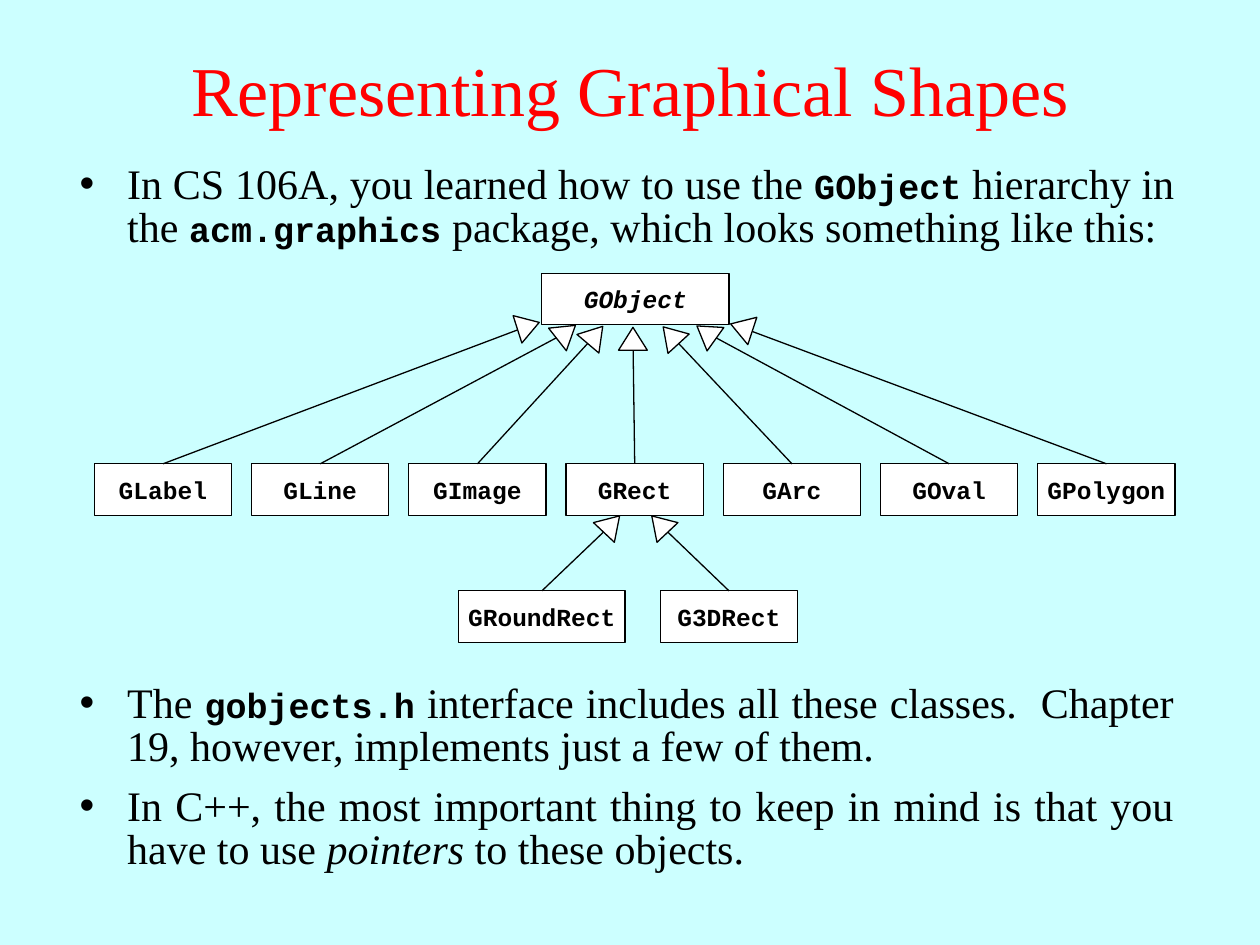
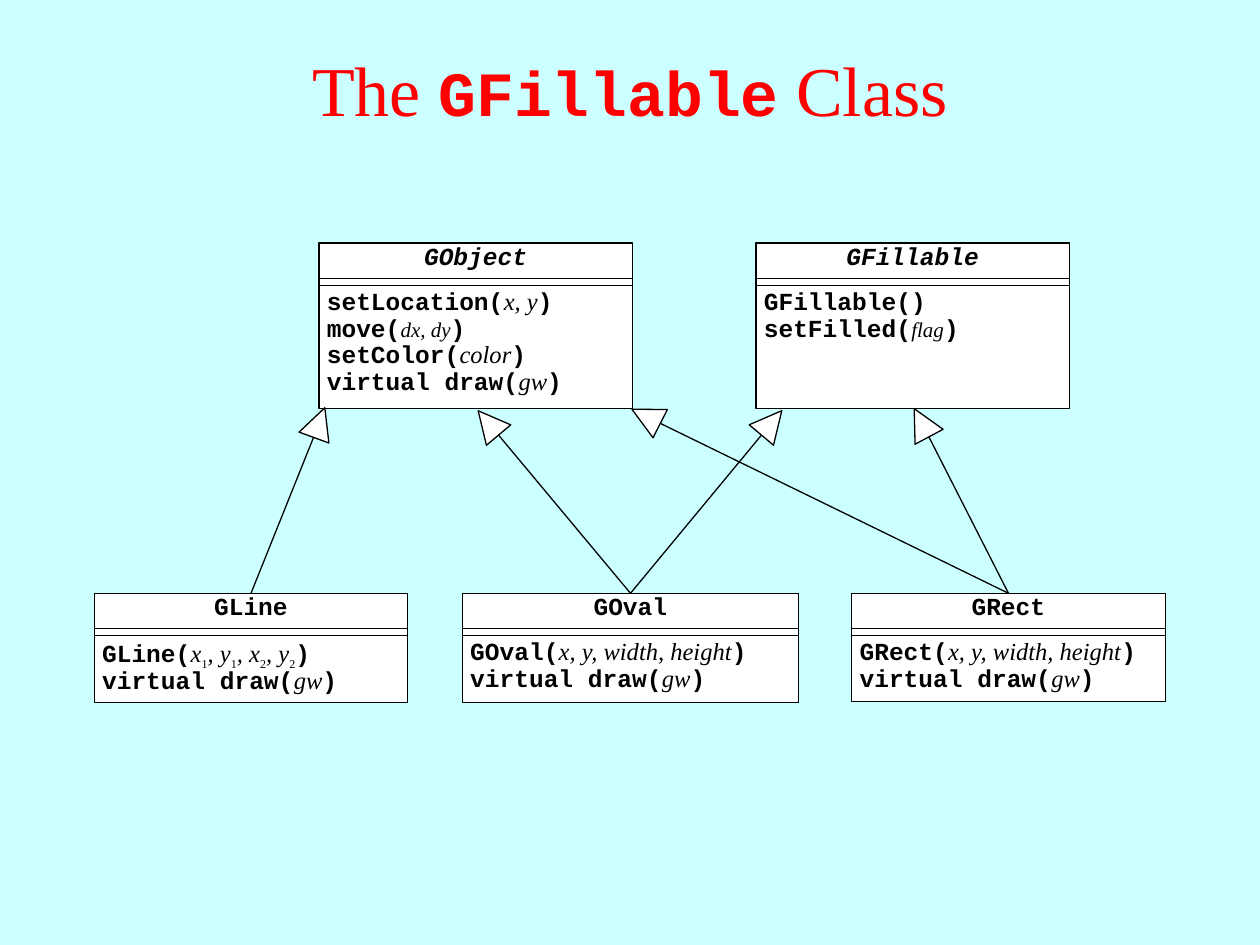
from math import cos, radians, sin
from typing import NamedTuple

from lxml.etree import SubElement
from pptx import Presentation
from pptx.dml.color import RGBColor
from pptx.enum.shapes import MSO_CONNECTOR, MSO_SHAPE
from pptx.enum.text import MSO_ANCHOR, MSO_AUTO_SIZE, PP_ALIGN
from pptx.oxml.ns import qn
from pptx.util import Cm, Pt

BACKGROUND = RGBColor(0xCC, 0xFF, 0xFF)
TITLE_RED = RGBColor(0xFF, 0x00, 0x00)
BLACK = RGBColor(0x00, 0x00, 0x00)
WHITE = RGBColor(0xFF, 0xFF, 0xFF)
SERIF, MONO = "Times New Roman", "Courier New"


class Style(NamedTuple):
    font: str
    size: int
    bold: bool = False
    italic: bool = False
    color: RGBColor = BLACK
    subscript: bool = False


TITLE = Style(SERIF, 40, color=TITLE_RED)
TITLE_CODE = Style(MONO, 36, bold=True, color=TITLE_RED)
BODY = Style(SERIF, 24)
BODY_ITALIC = Style(SERIF, 24, italic=True)
BODY_CODE = Style(MONO, 20, bold=True)
CODE = Style(MONO, 14, bold=True)
ABSTRACT = Style(MONO, 14, bold=True, italic=True)
ARGS = Style(SERIF, 14, italic=True)
SMALL_ARGS = Style(SERIF, 12, italic=True)
INDEX = Style(SERIF, 12, subscript=True)


# Text
def add_runs(paragraph, runs):
    for text, style in runs:
        run = paragraph.add_run()
        run.text = text
        font = run.font
        font.name, font.size = style.font, Pt(style.size)
        font.bold, font.italic = style.bold, style.italic
        font.color.rgb = style.color
        if style.subscript:
            run._r.get_or_add_rPr().set("baseline", "-25000")


def fill_paragraphs(frame, lines, align, spacing):
    for number, runs in enumerate(lines):
        paragraph = frame.add_paragraph() if number else frame.paragraphs[0]
        paragraph.alignment = align
        paragraph.line_spacing = spacing
        paragraph.space_before = Pt(0)
        add_runs(paragraph, runs)


def place(shape, left, top, width, height):
    shape.left, shape.top = Cm(left), Cm(top)
    shape.width, shape.height = Cm(width), Cm(height)


def set_title(slide, runs):
    title = slide.shapes.title
    place(title, 0, 0.2, 25.4, 3.18)
    frame = title.text_frame
    frame.auto_size = MSO_AUTO_SIZE.NONE
    frame.vertical_anchor = MSO_ANCHOR.MIDDLE
    fill_paragraphs(frame, [runs], PP_ALIGN.CENTER, 1.0)


def set_bullets(body, top, height, bullets):
    place(body, 1.35, top, 22.58, height)
    frame = body.text_frame
    frame.auto_size = MSO_AUTO_SIZE.NONE
    fill_paragraphs(frame, bullets, PP_ALIGN.JUSTIFY, 0.85)
    for paragraph in frame.paragraphs:
        paragraph.space_after = Pt(10)
        properties = paragraph._p.get_or_add_pPr()
        properties.set("marL", str(Cm(0.96)))
        properties.set("indent", str(Cm(-0.96)))


def add_label(slide, left, top, width, height, lines, align=PP_ALIGN.LEFT):
    box = slide.shapes.add_textbox(Cm(left), Cm(top), Cm(width), Cm(height))
    box.text_frame.word_wrap = True
    fill_paragraphs(box.text_frame, lines, align, 0.9)


# Diagram parts
def add_outlined(slide, preset, left, top, width, height):
    shape = slide.shapes.add_shape(preset, Cm(left), Cm(top), Cm(width), Cm(height))
    shape.shadow.inherit = False
    shape.fill.solid()
    shape.fill.fore_color.rgb = WHITE
    shape.line.color.rgb = BLACK
    shape.line.width = Pt(0.75)
    return shape


def add_line(slide, x1, y1, x2, y2, weight):
    line = slide.shapes.add_connector(
        MSO_CONNECTOR.STRAIGHT, Cm(x1), Cm(y1), Cm(x2), Cm(y2))
    line.line.color.rgb = BLACK
    line.line.width = Pt(weight)
    SubElement(line._element.spPr, qn("a:effectLst"))


def add_class_box(slide, name, left, top, width, style=CODE):
    """Draw a named box and return its top centre."""
    box = add_outlined(slide, MSO_SHAPE.RECTANGLE, left, top, width, 1.04)
    frame = box.text_frame
    frame.word_wrap = False
    frame.vertical_anchor = MSO_ANCHOR.MIDDLE
    fill_paragraphs(frame, [[(name, style)]], PP_ALIGN.CENTER, 1.0)
    return left + width / 2, top


def add_class_panel(slide, name, members, left, top, width, height, style=CODE):
    """Draw a class with its members and return its top centre."""
    add_outlined(slide, MSO_SHAPE.RECTANGLE, left, top, width, height)
    for offset in (0.71, 0.85):
        add_line(slide, left, top + offset, left + width, top + offset, 0.5)
    add_label(slide, left, top - 0.1, width, 0.81, [[(name, style)]], PP_ALIGN.CENTER)
    add_label(slide, left - 0.09, top + 0.81, width + 0.25, height - 0.9, members)
    return left + width / 2, top


def add_inheritance(slide, child, tip, tilt, width, height):
    """Join a child to the hollow arrowhead whose tip touches its parent."""
    center_x = tip[0] - height / 2 * sin(radians(tilt))
    center_y = tip[1] + height / 2 * cos(radians(tilt))
    add_line(slide, *child, center_x, center_y, 0.75)
    head = add_outlined(slide, MSO_SHAPE.ISOSCELES_TRIANGLE,
                        center_x - width / 2, center_y - height / 2, width, height)
    head.rotation = tilt % 360


def method(name, *args):
    if not args:
        return [(f"{name}()", CODE)]
    return [(f"{name}(", CODE), *args, (")", CODE)]


# Slides
def build_shapes_slide(prs):
    slide = prs.slides.add_slide(prs.slide_layouts[3])
    set_title(slide, [("Representing Graphical Shapes", TITLE)])
    intro, remarks = slide.placeholders[1], slide.placeholders[2]
    set_bullets(intro, 3.2, 2.08, [[
        ("In CS 106A, you learned how to use the ", BODY),
        ("GObject", BODY_CODE),
        (" hierarchy in the ", BODY),
        ("acm.graphics", BODY_CODE),
        (" package, which looks something like this:", BODY),
    ]])
    set_bullets(remarks, 13.67, 4.47, [
        [("The ", BODY), ("gobjects.h", BODY_CODE),
         (" interface includes all these classes.  Chapter 19, however, "
          "implements just a few of them.", BODY)],
        [("In C++, the most important thing to keep in mind is that you "
          "have to use ", BODY),
         ("pointers", BODY_ITALIC), (" to these objects.", BODY)],
    ])

    # Class hierarchy: name, arrow tip and tilt
    add_class_box(slide, "GObject", 10.92, 5.51, 3.78, ABSTRACT)
    subclasses = [
        ("GLabel", (10.87, 6.5), 72.3),
        ("GLine", (11.6, 6.56), 51.9),
        ("GImage", (12.15, 6.58), 40.3),
        ("GRect", (12.76, 6.6), 0),
        ("GArc", (13.37, 6.59), -42.5),
        ("GOval", (14.05, 6.57), -54.4),
        ("GPolygon", (14.73, 6.53), -71.8),
    ]
    for column, (name, tip, tilt) in enumerate(subclasses):
        child = add_class_box(slide, name, 1.9 + 3.17 * column, 9.35, 2.77)
        add_inheritance(slide, child, tip, tilt, 0.58, 0.46)
    rect_subclasses = [
        ("GRoundRect", 9.25, 3.35, (12.49, 10.4), 43.3),
        ("G3DRect", 13.31, 2.77, (13.14, 10.4), -43.3),
    ]
    for name, left, width, tip, tilt in rect_subclasses:
        child = add_class_box(slide, name, left, 11.91, width)
        add_inheritance(slide, child, tip, tilt, 0.58, 0.46)


def build_fillable_slide(prs):
    slide = prs.slides.add_slide(prs.slide_layouts[5])
    set_title(slide, [("The ", TITLE), ("GFillable", TITLE_CODE), (" Class", TITLE)])

    # Parent classes
    draw = method("virtual draw", ("gw", ARGS))
    add_class_panel(slide, "GObject", [
        method("setLocation", ("x, y", ARGS)),
        method("move", ("dx, dy", SMALL_ARGS)),
        method("setColor", ("color", ARGS)),
        draw,
    ], 6.43, 4.9, 6.32, 3.33, ABSTRACT)
    add_class_panel(slide, "GFillable", [
        method("GFillable"),
        method("setFilled", ("flag", SMALL_ARGS)),
    ], 15.24, 4.9, 6.32, 3.33, ABSTRACT)

    # Child classes
    endpoints = [("x", ARGS), ("1", INDEX), (", y", ARGS), ("1", INDEX),
                 (", x", ARGS), ("2", INDEX), (", y", ARGS), ("2", INDEX)]
    bounds = [("x, y, width, height", ARGS)]
    tops = {}
    for name, args, left, width, height in [
        ("GLine", endpoints, 1.9, 6.32, 2.21),
        ("GOval", bounds, 9.32, 6.78, 2.21),
        ("GRect", bounds, 17.17, 6.32, 2.18),
    ]:
        tops[name] = add_class_panel(
            slide, name, [method(name, *args), draw], left, 11.96, width, height)

    # Inheritance arrows
    for name, tip, tilt in [
        ("GLine", (6.55, 8.22), 20),
        ("GOval", (9.64, 8.28), -40),
        ("GRect", (12.74, 8.25), -63),
        ("GOval", (15.76, 8.28), 40),
        ("GRect", (18.43, 8.24), -28),
    ]:
        add_inheritance(slide, tops[name], tip, tilt, 0.64, 0.64)


def main():
    prs = Presentation()
    prs.slide_width, prs.slide_height = Cm(25.4), Cm(19.05)
    background = prs.slide_master.background.fill
    background.solid()
    background.fore_color.rgb = BACKGROUND
    build_shapes_slide(prs)
    build_fillable_slide(prs)
    prs.save("out.pptx")


if __name__ == "__main__":
    main()
